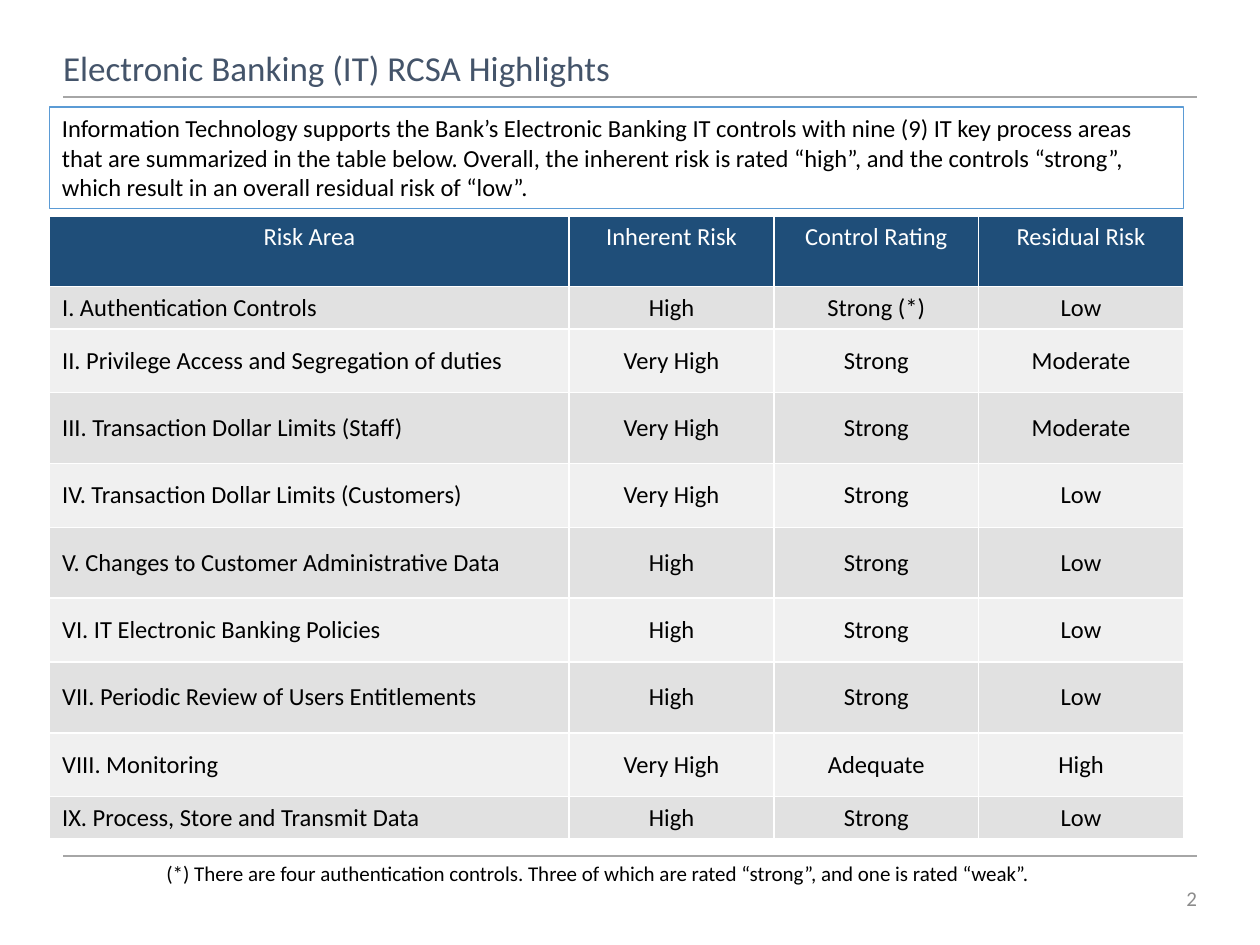
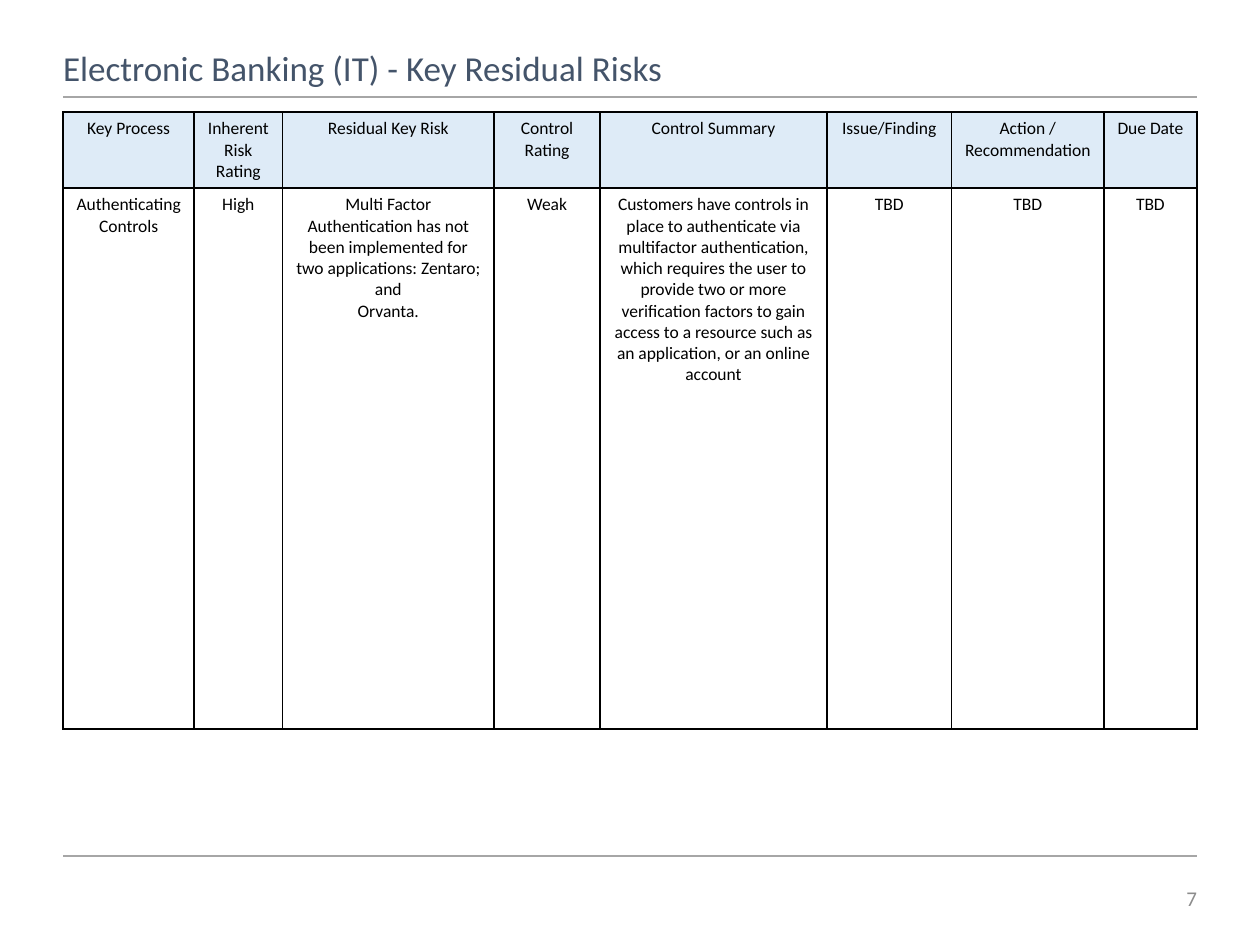
from dataclasses import dataclass

from lxml import etree
from pptx import Presentation
from pptx.dml.color import RGBColor
from pptx.enum.shapes import MSO_CONNECTOR, MSO_SHAPE
from pptx.enum.text import MSO_ANCHOR, MSO_AUTO_SIZE, PP_ALIGN
from pptx.oxml.ns import qn
from pptx.presentation import Presentation as Deck
from pptx.slide import Slide, SlideLayout
from pptx.table import _Cell as Cell
from pptx.text.text import TextFrame
from pptx.util import Pt

LEFT, CENTER, RIGHT = PP_ALIGN.LEFT, PP_ALIGN.CENTER, PP_ALIGN.RIGHT
TOP, MIDDLE, BOTTOM = MSO_ANCHOR.TOP, MSO_ANCHOR.MIDDLE, MSO_ANCHOR.BOTTOM
NO_AUTOFIT = MSO_AUTO_SIZE.NONE
STRAIGHT = MSO_CONNECTOR.STRAIGHT
RECTANGLE = MSO_SHAPE.RECTANGLE
TITLE_ONLY = 5


@dataclass(frozen=True)
class Theme:
    font: str = "Calibri"
    title: str = "44546A"
    rule: str = "A6A6A6"
    page: str = "8C8C8C"
    ink: str = "000000"
    paper: str = "FFFFFF"
    intro_line: str = "5B9BD5"
    navy: str = "1F4E79"
    pale_blue: str = "DEEBF7"
    dark_band: str = "E1E1E1"
    light_band: str = "F0F0F0"
    title_size: float = 20
    body_size: float = 14
    note_size: float = 12
    detail_size: float = 10
    rule_width: float = 1.25


THEME = Theme()


@dataclass(frozen=True)
class Box:
    left: float
    top: float
    width: float
    height: float

    def lengths(self) -> tuple[Pt, Pt, Pt, Pt]:
        return Pt(self.left), Pt(self.top), Pt(self.width), Pt(self.height)


@dataclass(frozen=True)
class Grid:
    left: float
    top: float
    columns: list[float]
    row_heights: list[float]
    rows: list[tuple[str, ...]]
    size: float
    border: str
    header_fill: str
    header_ink: str
    bands: tuple[str, ...] = ()
    body_anchor: MSO_ANCHOR = TOP
    first_column: PP_ALIGN = CENTER


MARGIN, CONTENT_WIDTH = 36, 648
RULE_TOPS = (55.5, 489)
TITLE_BOX = Box(MARGIN, 18, CONTENT_WIDTH, 36)
PAGE_BOX = Box(654, 501, 30, 24)
INTRO_BOX = Box(28.3, 61.2, CONTENT_WIDTH, 58)
FOOTNOTE_BOX = Box(88, 488, 578, 22)

INTRO = (
    "Information Technology supports the Bank’s Electronic Banking IT controls with "
    "nine (9) IT key process areas that are summarized in the table below. Overall, "
    "the inherent risk is rated “high”, and the controls “strong”, which result in "
    "an overall residual risk of “low”."
)
FOOTNOTE = (
    "(*) There are four authentication controls. Three of which are rated “strong”, "
    "and one is rated “weak”."
)

RATINGS = Grid(
    left=28.3,
    top=123.3,
    columns=[297, 117, 117, 117],
    row_heights=[40.5, 24.1, *[36.5, 40.5] * 3, 36.5, 24.1],
    rows=[
        ("Risk Area", "Inherent Risk", "Control Rating", "Residual Risk"),
        ("I. Authentication Controls", "High", "Strong (*)", "Low"),
        ("II. Privilege Access and Segregation of duties", "Very High", "Strong", "Moderate"),
        ("III. Transaction Dollar Limits (Staff)", "Very High", "Strong", "Moderate"),
        ("IV. Transaction Dollar Limits (Customers)", "Very High", "Strong", "Low"),
        ("V. Changes to Customer Administrative Data", "High", "Strong", "Low"),
        ("VI. IT Electronic Banking Policies", "High", "Strong", "Low"),
        ("VII. Periodic Review of Users Entitlements", "High", "Strong", "Low"),
        ("VIII. Monitoring", "Very High", "Adequate", "High"),
        ("IX. Process, Store and Transmit Data", "High", "Strong", "Low"),
    ],
    size=THEME.body_size,
    border=THEME.paper,
    header_fill=THEME.navy,
    header_ink=THEME.paper,
    bands=(THEME.dark_band, THEME.light_band),
    body_anchor=MIDDLE,
    first_column=LEFT,
)

RESIDUAL_RISKS = Grid(
    left=MARGIN,
    top=64,
    columns=[75, 50.4, 121, 60.5, 129.6, 71.3, 87.1, 53.1],
    row_heights=[43.5, 309],
    rows=[
        (
            "Key Process", "Inherent Risk Rating", "Residual Key Risk", "Control Rating",
            "Control Summary", "Issue/Finding", "Action / Recommendation", "Due Date",
        ),
        (
            "Authenticating Controls",
            "High",
            "Multi Factor Authentication has not been implemented for two applications: "
            "Zentaro; and\nOrvanta.",
            "Weak",
            "Customers have controls in place to authenticate via multifactor "
            "authentication, which requires the user to provide two or more verification "
            "factors to gain access to a resource such as an application, or an online "
            "account",
            "TBD",
            "TBD",
            "TBD",
        ),
    ],
    size=THEME.detail_size,
    border=THEME.ink,
    header_fill=THEME.pale_blue,
    header_ink=THEME.ink,
)


def rgb(color: str) -> RGBColor:
    return RGBColor.from_string(color)


def write(frame: TextFrame, text: str, size: float, color: str, align: PP_ALIGN = LEFT) -> None:
    frame.text = text
    frame.word_wrap = True
    for paragraph in frame.paragraphs:
        paragraph.alignment = align
        for run in paragraph.runs:
            run.font.name = THEME.font
            run.font.size = Pt(size)
            run.font.bold = False
            run.font.color.rgb = rgb(color)


def add_layout_rules(layout: SlideLayout, slide: Slide) -> None:
    for top in RULE_TOPS:
        rule = slide.shapes.add_connector(
            STRAIGHT, Pt(MARGIN), Pt(top), Pt(MARGIN + CONTENT_WIDTH), Pt(top)
        )
        rule.line.color.rgb = rgb(THEME.rule)
        rule.line.width = Pt(THEME.rule_width)
        etree.SubElement(rule.element.spPr, qn("a:effectLst"))
        layout.shapes.element.append(rule.element)


def add_slide(deck: Deck, heading: str, page: str) -> Slide:
    slide = deck.slides.add_slide(deck.slide_layouts[TITLE_ONLY])
    title = slide.shapes.title
    title.left, title.top, title.width, title.height = TITLE_BOX.lengths()
    write(title.text_frame, heading, THEME.title_size, THEME.title)
    title.text_frame.auto_size = NO_AUTOFIT
    title.text_frame.vertical_anchor = BOTTOM
    title.text_frame.margin_left = 0
    number = add_text(slide, PAGE_BOX, page, THEME.page, RIGHT)
    number.vertical_anchor = MIDDLE
    number.margin_right = 0
    return slide


def add_text(slide: Slide, box: Box, text: str, color: str, align: PP_ALIGN = LEFT) -> TextFrame:
    frame = slide.shapes.add_textbox(*box.lengths()).text_frame
    write(frame, text, THEME.note_size, color, align)
    return frame


def add_intro(slide: Slide) -> None:
    intro = slide.shapes.add_shape(RECTANGLE, *INTRO_BOX.lengths())
    intro.shadow.inherit = False
    intro.fill.background()
    intro.line.color.rgb = rgb(THEME.intro_line)
    intro.line.width = Pt(0.75)
    write(intro.text_frame, INTRO, THEME.body_size, THEME.ink)
    intro.text_frame.vertical_anchor = TOP


def set_borders(cell: Cell, color: str) -> None:
    properties = cell._tc.get_or_add_tcPr()
    for side in ("lnL", "lnR", "lnT", "lnB"):
        line = etree.SubElement(properties, qn(f"a:{side}"), w=str(Pt(1)))
        fill = etree.SubElement(line, qn("a:solidFill"))
        etree.SubElement(fill, qn("a:srgbClr"), val=color)


def add_grid(slide: Slide, grid: Grid) -> None:
    box = Box(grid.left, grid.top, sum(grid.columns), sum(grid.row_heights))
    table = slide.shapes.add_table(
        len(grid.rows), len(grid.columns), *box.lengths()
    ).table
    table.horz_banding = False
    for column, width in zip(table.columns, grid.columns):
        column.width = Pt(width)
    for row, height in zip(table.rows, grid.row_heights):
        row.height = Pt(height)
    for r, texts in enumerate(grid.rows):
        header = r == 0
        for c, text in enumerate(texts):
            cell = table.cell(r, c)
            align = CENTER if header or c else grid.first_column
            write(cell.text_frame, text, grid.size, grid.header_ink if header else THEME.ink, align)
            cell.vertical_anchor = TOP if header else grid.body_anchor
            set_borders(cell, grid.border)
            if header or grid.bands:
                cell.fill.solid()
                cell.fill.fore_color.rgb = rgb(
                    grid.header_fill if header else grid.bands[(r - 1) % len(grid.bands)]
                )
            else:
                cell.fill.background()


def main() -> None:
    deck = Presentation()
    deck.slide_width, deck.slide_height = Pt(720), Pt(540)

    highlights = add_slide(deck, "Electronic Banking (IT) RCSA Highlights", "2")
    add_layout_rules(highlights.slide_layout, highlights)
    add_grid(highlights, RATINGS)
    add_intro(highlights)
    add_text(highlights, FOOTNOTE_BOX, FOOTNOTE, THEME.ink)

    key_risks = add_slide(deck, "Electronic Banking (IT) - Key Residual Risks", "7")
    add_grid(key_risks, RESIDUAL_RISKS)

    deck.save("out.pptx")


if __name__ == "__main__":
    main()
